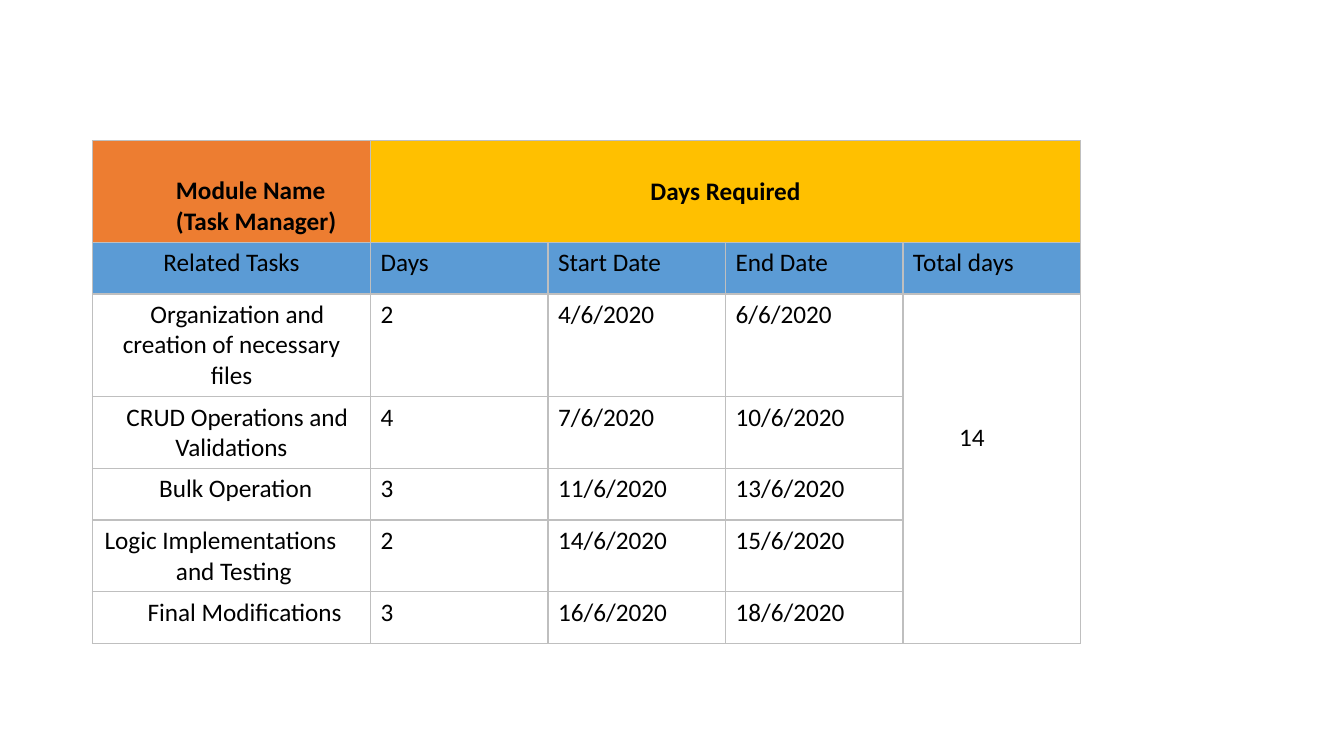
from lxml import etree
from pptx import Presentation
from pptx.dml.color import RGBColor
from pptx.enum.text import MSO_ANCHOR, PP_ALIGN
from pptx.oxml.ns import qn
from pptx.util import Pt

PX = 9525
LEFT, CENTER = PP_ALIGN.LEFT, PP_ALIGN.CENTER
TOP, MIDDLE, BOTTOM = MSO_ANCHOR.TOP, MSO_ANCHOR.MIDDLE, MSO_ANCHOR.BOTTOM
ORANGE, GOLD, BLUE = "ED7D31", "FFC000", "5B9BD5"
BLACK, BORDER = "000000", "BFBFBF"

COLUMN_WIDTHS = [265, 169, 169, 169, 169]
ROW_HEIGHTS = [97, 49, 98, 68, 49, 68, 49]
HEADINGS = ["Related Tasks", "Days", "Start Date", "End Date", "Total days"]
TASKS = [
    ("Organization and creation of necessary files", "2", "4/6/2020", "6/6/2020",
     {"align": CENTER, "indent": 11}),
    ("CRUD Operations and Validations", "4", "7/6/2020", "10/6/2020",
     {"align": CENTER, "indent": 11}),
    ("Bulk Operation", "3", "11/6/2020", "13/6/2020", {"left": 54}),
    ("Logic Implementations and Testing", "2", "14/6/2020", "15/6/2020",
     {"left": 70, "indent": -68}),
    ("Final Modifications", "3", "16/6/2020", "18/6/2020", {"left": 43}),
]


def color(value):
    return RGBColor.from_string(value)


def write(cell, text, align=LEFT, anchor=TOP, bold=False, left=0, indent=0, top=5):
    cell.vertical_anchor = anchor
    cell.margin_top = top * PX
    cell.text_frame.text = text
    paragraph = cell.text_frame.paragraphs[0]
    paragraph.alignment = align
    properties = paragraph._p.get_or_add_pPr()
    properties.set("marL", str(left * PX))
    properties.set("indent", str(indent * PX))
    for run in paragraph.runs:
        run.font.name = "Calibri"
        run.font.size = Pt(18)
        run.font.bold = bold
        run.font.color.rgb = color(BLACK)


def style(cell, fill=None):
    properties = cell._tc.get_or_add_tcPr()
    for side in ("lnL", "lnR", "lnT", "lnB"):
        line = etree.SubElement(properties, qn(f"a:{side}"), w=str(Pt(1)))
        solid = etree.SubElement(line, qn("a:solidFill"))
        etree.SubElement(solid, qn("a:srgbClr"), val=BORDER)
    if fill:
        cell.fill.solid()
        cell.fill.fore_color.rgb = color(fill)
    else:
        cell.fill.background()


def add_schedule(slide, left, top):
    frame = slide.shapes.add_table(
        len(ROW_HEIGHTS), len(COLUMN_WIDTHS), left * PX, top * PX,
        sum(COLUMN_WIDTHS) * PX, sum(ROW_HEIGHTS) * PX)
    table = frame.table
    table.first_row = table.horz_banding = False
    for column, width in zip(table.columns, COLUMN_WIDTHS):
        column.width = width * PX
    for row, height in zip(table.rows, ROW_HEIGHTS):
        row.height = height * PX

    fills = {0: [ORANGE] + [GOLD] * 4, 1: [BLUE] * 5}
    for row_index, row in enumerate(table.rows):
        for cell, fill in zip(row.cells, fills.get(row_index, [None] * 5)):
            style(cell, fill)
    table.cell(0, 1).merge(table.cell(0, 4))
    table.cell(2, 4).merge(table.cell(6, 4))

    write(table.cell(0, 0), "Module Name\v(Task Manager)", anchor=BOTTOM, bold=True, left=70)
    write(table.cell(0, 1), "Days Required", align=CENTER, anchor=MIDDLE, bold=True)
    for index, heading in enumerate(HEADINGS):
        write(table.cell(1, index), heading, align=LEFT if index else CENTER)
    for row_index, (task, *values, layout) in enumerate(TASKS, 2):
        write(table.cell(row_index, 0), task, **layout)
        for index, value in enumerate(values, 1):
            write(table.cell(row_index, index), value)
    write(table.cell(2, 4), "14", left=44, top=122)


def main():
    presentation = Presentation()
    presentation.slide_width = 1280 * PX
    presentation.slide_height = 720 * PX
    slide = presentation.slides.add_slide(presentation.slide_layouts[6])
    add_schedule(slide, 88, 134)
    presentation.save("out.pptx")


if __name__ == "__main__":
    main()
